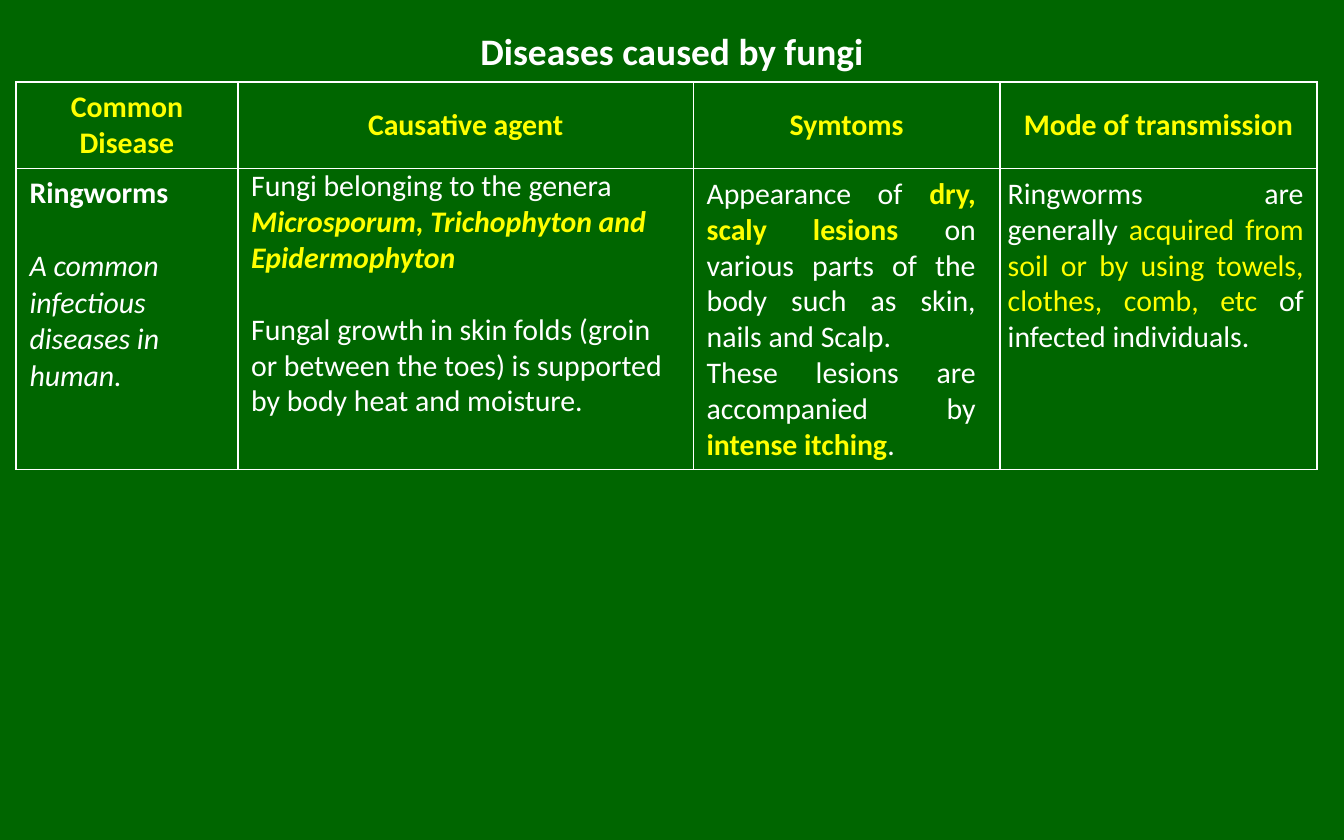
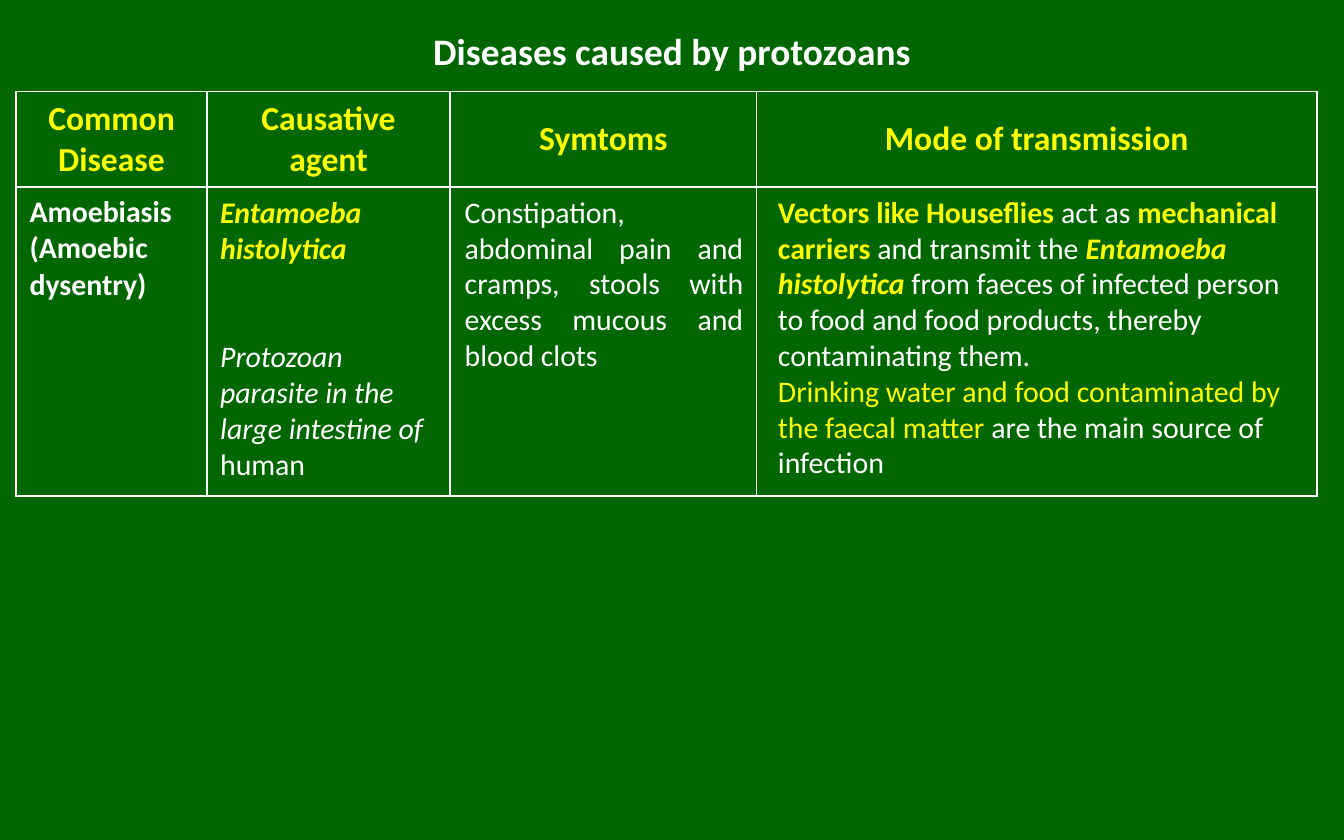
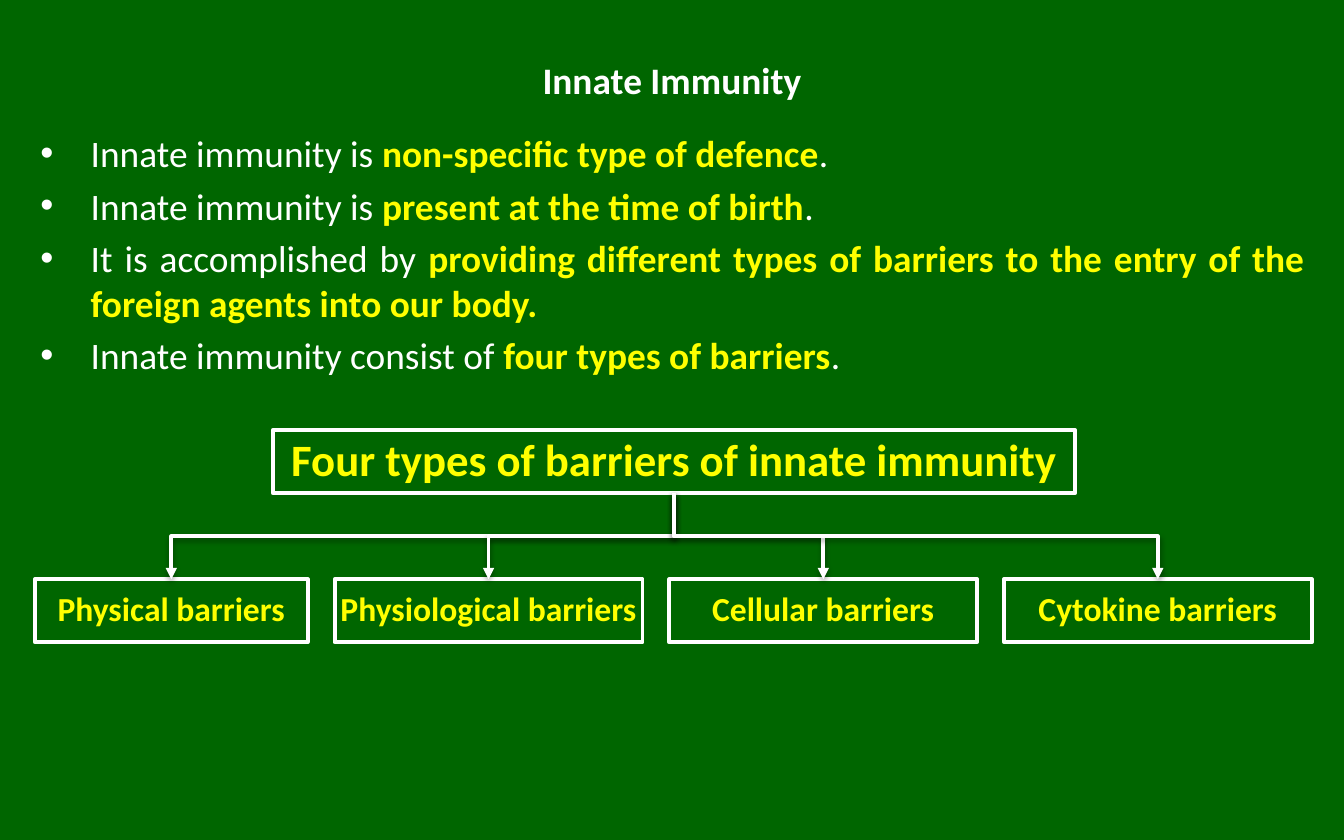
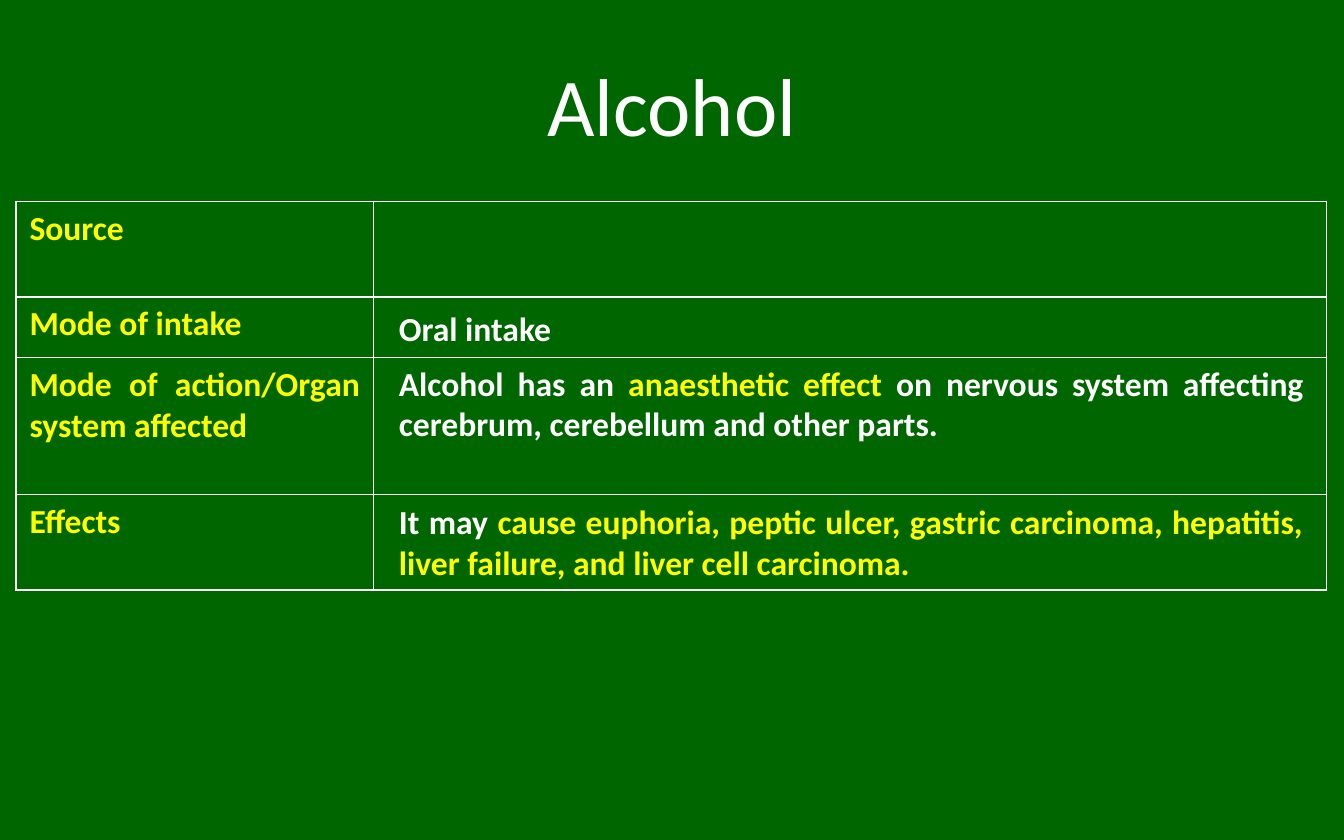
from lxml.etree import SubElement
from pptx import Presentation
from pptx.dml.color import RGBColor
from pptx.enum.shapes import MSO_CONNECTOR as Link, MSO_SHAPE as Preset
from pptx.enum.text import MSO_ANCHOR as Anchor, MSO_AUTO_SIZE as AutoSize, PP_ALIGN as Align
from pptx.oxml import parse_xml
from pptx.oxml.ns import nsdecls, qn
from pptx.util import Inches, Pt

GREEN, WHITE, YELLOW = "006600", "FFFFFF", "FFFF00"
FONT = "Calibri"
TITLE_AND_BODY, TITLE_ONLY = 1, 5
TABLE_LEFT = 0.12
LINE_16 = 19.5
DISEASE_HEADINGS = ["Common Disease", "Causative agent", "Symtoms", "Mode of transmission"]


def colour(hex_code):
    """Turn a hex string into a colour."""
    return RGBColor.from_string(hex_code)


def write(frame, paragraphs, size, align=Align.LEFT, gap=0):
    """Write paragraphs of (text, style) runs; styles combine w/y colour, b bold, i italic."""
    for index, runs in enumerate(paragraphs):
        paragraph = frame.paragraphs[0] if index == 0 else frame.add_paragraph()
        paragraph.alignment = align
        paragraph.space_before = Pt(gap if index else 0)
        for text, style in runs:
            run = paragraph.add_run()
            run.text = text
            run.font.name = FONT
            run.font.size = Pt(size)
            run.font.bold = "b" in style
            run.font.italic = "i" in style
            run.font.color.rgb = colour(YELLOW if "y" in style else WHITE)


def place(shape, left, top, width, height):
    """Move and size a shape, in inches."""
    shape.left, shape.top = Inches(left), Inches(top)
    shape.width, shape.height = Inches(width), Inches(height)


def add_titled_slide(prs, title, box, size=20, style="wb", layout=TITLE_ONLY):
    """Add a slide with a centred title."""
    slide = prs.slides.add_slide(prs.slide_layouts[layout])
    place(slide.shapes.title, *box)
    frame = slide.shapes.title.text_frame
    frame.auto_size = AutoSize.NONE
    frame.vertical_anchor = Anchor.MIDDLE
    write(frame, [[(title, style)]], size, Align.CENTER)
    return slide


def add_note(slide, box, paragraphs, size=16, align=Align.LEFT, gap=0, wrap=True):
    """Add a text box with styled runs."""
    frame = slide.shapes.add_textbox(*map(Inches, box)).text_frame
    frame.word_wrap = wrap
    write(frame, paragraphs, size, align, gap)


def outline_cell(cell):
    """Give a cell no fill and thin white borders."""
    cell.fill.background()
    properties = cell._tc.get_or_add_tcPr()
    for index, side in enumerate(("lnL", "lnR", "lnT", "lnB")):
        properties.insert(index, parse_xml(
            f'<a:{side} {nsdecls("a")} w="12700"><a:solidFill>'
            f'<a:srgbClr val="{WHITE}"/></a:solidFill></a:{side}>'))


def add_grid(slide, top, widths, heights):
    """Add an outlined, unfilled table."""
    table = slide.shapes.add_table(
        len(heights), len(widths), Inches(TABLE_LEFT), Inches(top),
        Inches(sum(widths)), Inches(sum(heights))).table
    table.first_row = table.horz_banding = False
    for column, width in zip(table.columns, widths):
        column.width = Inches(width)
    for row, height in zip(table.rows, heights):
        row.height = Inches(height)
    for cell in table.iter_cells():
        outline_cell(cell)
    return table


def add_disease_grid(slide, top, widths, heights, heading_size, disease, gap=0):
    """Add a disease table with headings and the disease in the first column."""
    table = add_grid(slide, top, widths, heights)
    for column, heading in enumerate(DISEASE_HEADINGS):
        cell = table.cell(0, column)
        cell.vertical_anchor = Anchor.MIDDLE
        write(cell.text_frame, [[(heading, "yb")]], heading_size, Align.CENTER)
    write(table.cell(1, 0).text_frame, disease, 16, gap=gap)


def add_barrier(slide, box, label, size, inset):
    """Add an outlined box with a yellow label."""
    barrier = slide.shapes.add_shape(Preset.RECTANGLE, *map(Inches, box))
    barrier.shadow.inherit = False
    barrier.fill.background()
    barrier.line.color.rgb = colour(WHITE)
    barrier.line.width = Pt(2)
    frame = barrier.text_frame
    frame.word_wrap = True
    frame.vertical_anchor = Anchor.MIDDLE
    frame.margin_left = frame.margin_right = Inches(inset)
    frame.margin_top = frame.margin_bottom = Inches(inset)
    write(frame, [[(label, "yb")]], size, Align.CENTER)
    frame.paragraphs[0].line_spacing = 0.9
    return barrier


def add_branch(slide, parent, child):
    """Join parent to child with an elbow arrow that leaves downwards."""
    branch = slide.shapes.add_connector(Link.ELBOW, 0, 0, 0, 0)
    branch.begin_connect(parent, 2)
    branch.end_connect(child, 0)
    run, drop = branch.end_x - branch.begin_x, branch.end_y - branch.begin_y
    middle_x, middle_y = branch.begin_x + run // 2, branch.begin_y + drop // 2
    branch.left, branch.top = middle_x - drop // 2, middle_y - abs(run) // 2
    branch.width, branch.height = drop, abs(run)
    properties = branch.element.spPr
    transform = properties.find(qn("a:xfrm"))
    transform.set("rot", str((270 if run > 0 else 90) * 60000))
    transform.set("flipH", "1" if run > 0 else "0")
    transform.set("flipV", "0")
    branch.line.color.rgb = colour(WHITE)
    branch.line.width = Pt(2)
    SubElement(properties.find(qn("a:ln")), qn("a:tailEnd"), type="triangle")
    properties.append(parse_xml(
        f'<a:effectLst {nsdecls("a")}><a:outerShdw blurRad="39370" dist="20320" dir="5400000" '
        'rotWithShape="0"><a:srgbClr val="000000"><a:alpha val="38000"/></a:srgbClr>'
        '</a:outerShdw></a:effectLst>'))


def build_fungi(prs):
    """Build the slide on diseases caused by fungi."""
    slide = add_titled_slide(prs, "Diseases caused by fungi", (0.5, 0.13, 9, 0.49))
    add_disease_grid(
        slide, 0.61, [1.65, 3.39, 2.28, 2.36], [0.64, 2.24], 16,
        [[("Ringworms", "wb")], [("A common infectious diseases in human.", "wi")]], LINE_16)
    add_note(slide, (1.77, 1.19, 3.39, 1.99), [
        [("Fungi belonging to the genera ", "w"),
         ("Microsporum, Trichophyton and Epidermophyton", "ybi")],
        [("Fungal growth in skin folds (groin or between the toes) is supported "
          "by body heat and moisture.", "w")]], gap=LINE_16)
    add_note(slide, (5.16, 1.25, 2.2, 2.26), [
        [("Appearance of ", "w"), ("dry, scaly lesions ", "yb"),
         ("on various parts of the body such as skin, nails and Scalp.", "w")],
        [("These lesions are accompanied by ", "w"), ("intense itching", "yb"), (".", "w")]],
        align=Align.JUSTIFY)
    add_note(slide, (7.4, 1.25, 2.4, 1.45), [
        [("Ringworms are generally ", "w"),
         ("acquired from soil or by using towels, clothes, comb, etc", "y"),
         (" of infected individuals.", "w")]], align=Align.JUSTIFY)


def build_protozoans(prs):
    """Build the slide on diseases caused by protozoans."""
    slide = add_titled_slide(prs, "Diseases caused by protozoans", (0.5, 0.13, 9, 0.49))
    add_disease_grid(
        slide, 0.68, [1.42, 1.81, 2.28, 4.17], [0.71, 2.3], 18,
        [[("Amoebiasis", "wb")], [("(Amoebic dysentry)", "wb")]])
    add_note(slide, (1.54, 1.39, 1.73, 2.26), [
        [("Entamoeba histolytica", "ybi")],
        [("Protozoan parasite in the large intestine of ", "wi"), ("human", "w")]],
        gap=2 * LINE_16)
    add_note(slide, (3.36, 1.39, 2.27, 1.45), [
        [("Constipation, abdominal pain and cramps, stools with excess mucous "
          "and blood clots", "w")]], align=Align.JUSTIFY)
    add_note(slide, (5.69, 1.39, 4.11, 2.26), [
        [("Vectors like Houseflies ", "yb"), ("act as ", "w"), ("mechanical carriers", "yb"),
         (" and transmit the ", "w"), ("Entamoeba histolytica", "ybi"),
         (" from faeces of infected person to food and food products, thereby "
          "contaminating them.", "w")],
        [("Drinking water and food contaminated by the faecal matter", "y"),
         (" are the main source of infection", "w")]])


def build_immunity(prs):
    """Build the slide on innate immunity and its barriers."""
    slide = add_titled_slide(prs, "Innate Immunity", (0, 0.33, 10, 0.53), layout=TITLE_AND_BODY)
    body = slide.placeholders[1]
    place(body, 0.2, 0.92, 9.61, 1.97)
    body.text_frame.auto_size = AutoSize.NONE
    write(body.text_frame, [
        [("Innate immunity is ", "w"), ("non-specific type of defence", "yb"), (".", "w")],
        [("Innate immunity is ", "w"), ("present at the time of birth", "yb"), (".", "w")],
        [("It is accomplished by ", "w"),
         ("providing different types of barriers to the entry of the foreign agents "
          "into our body.", "yb")],
        [("Innate immunity consist of ", "w"), ("four types of barriers", "yb"), (".", "w")]],
        20, Align.JUSTIFY, 4)

    heading = add_barrier(slide, (2.03, 3.2, 5.97, 0.47),
                          "Four types of barriers of innate immunity", 24, 0.02)
    left, gap = 0.26, 0.2
    for kind, width in (("Physical", 2.03), ("Physiological", 2.29),
                        ("Cellular", 2.29), ("Cytokine", 2.29)):
        barrier = add_barrier(slide, (left, 4.31, width, 0.47), f"{kind} barriers", 18, 0.01)
        add_branch(slide, heading, barrier)
        left += width + gap


def build_alcohol(prs):
    """Build the slide on alcohol."""
    slide = add_titled_slide(prs, "Alcohol", (0.5, 0.25, 9, 1.04), 44, "w")
    table = add_grid(slide, 1.5, [2.66, 7.09], [0.71, 0.45, 1.02, 0.71])
    aspects = ["Source", "Mode of intake", "Mode of action/Organ system affected", "Effects"]
    for row, aspect in enumerate(aspects):
        write(table.cell(row, 0).text_frame, [[(aspect, "yb")]], 18, Align.JUSTIFY)
    add_note(slide, (2.87, 2.24, 1.34, 0.4), [[("Oral intake", "wb")]], 18,
             Align.JUSTIFY, wrap=False)
    add_note(slide, (2.87, 2.65, 6.93, 0.71), [
        [("Alcohol has an ", "wb"), ("anaesthetic effect ", "yb"),
         ("on nervous system affecting cerebrum, cerebellum and other parts.", "wb")]],
        18, Align.JUSTIFY)
    add_note(slide, (2.87, 3.68, 6.93, 0.71), [
        [("It may ", "wb"),
         ("cause euphoria, peptic ulcer, gastric carcinoma, hepatitis, liver failure, "
          "and liver cell carcinoma.", "yb")]], 18, Align.JUSTIFY)


def main():
    """Build and save the presentation."""
    prs = Presentation()
    prs.slide_width, prs.slide_height = Inches(10), Inches(6.25)
    background = prs.slide_master.background.fill
    background.solid()
    background.fore_color.rgb = colour(GREEN)
    build_fungi(prs)
    build_protozoans(prs)
    build_immunity(prs)
    build_alcohol(prs)
    prs.save("out.pptx")


if __name__ == "__main__":
    main()
